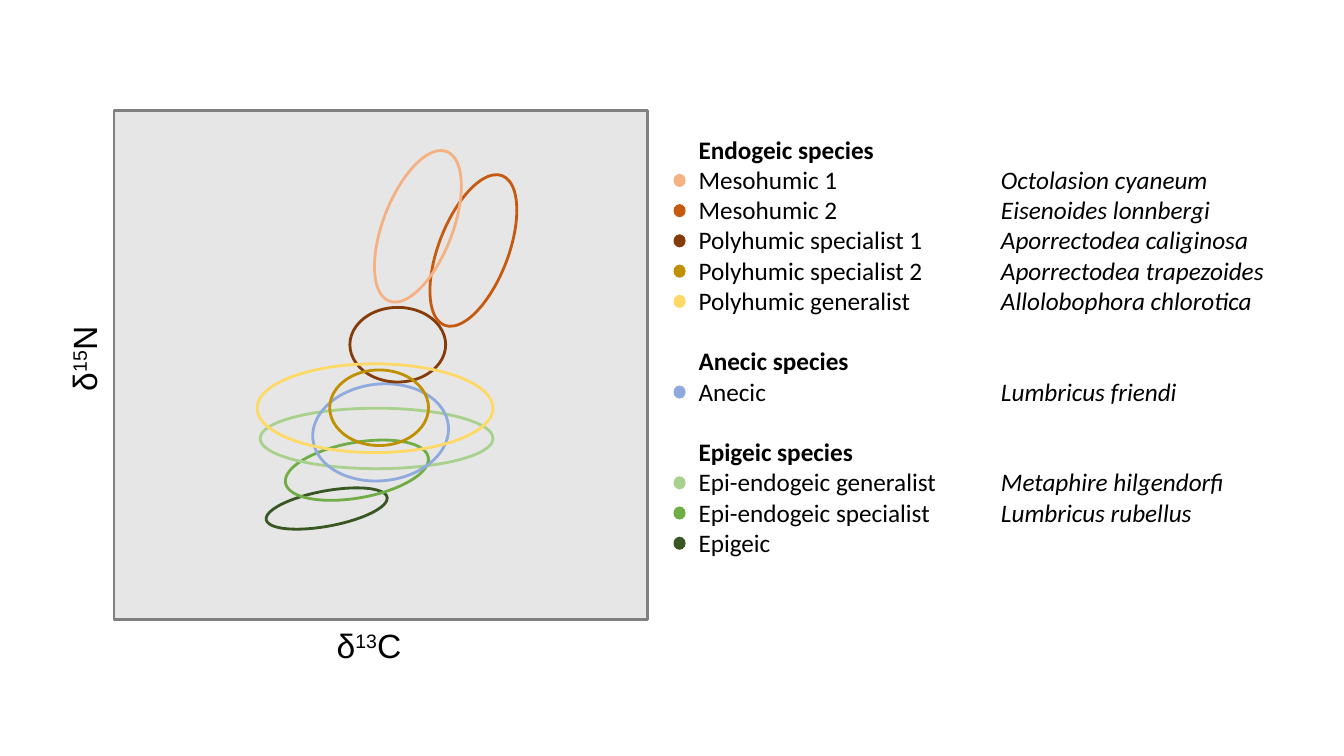
from dataclasses import dataclass

from lxml.etree import SubElement
from pptx import Presentation
from pptx.dml.color import RGBColor
from pptx.enum.shapes import MSO_SHAPE
from pptx.enum.text import MSO_AUTO_SIZE, PP_ALIGN
from pptx.oxml.ns import qn
from pptx.util import Inches, Pt


@dataclass(frozen=True)
class Theme:
    text: str = "000000"
    plot_fill: str = "E7E6E6"
    plot_line: str = "808080"
    line_width: float = 2
    legend_font: str = "Calibri"
    legend_size: float = 18
    axis_font: str = "Arial"
    axis_size: float = 24


THEME = Theme()

NICHES = {
    "Epigeic": ("385723", (2.63, 4.87, 1.22, 0.35), 349.5),
    "Epi-endogeic specialist": ("70AD47", (2.82, 4.39, 1.44, 0.55), 349.8),
    "Epi-endogeic generalist": ("A9D18E", (2.58, 4.05, 2.31, 0.6), 0),
    "Anecic": ("8FAADC", (3.1, 3.81, 1.35, 0.96), 354.1),
    "Polyhumic specialist 1": ("843C0B", (3.47, 3.05, 0.95, 0.74), 0),
    "Polyhumic specialist 2": ("BF9000", (3.27, 3.67, 0.98, 0.75), 0),
    "Mesohumic 2": ("C55A11", (3.9, 2.14, 1.59, 0.69), 291.1),
    "Mesohumic 1": ("F4B183", (3.35, 1.9, 1.59, 0.69), 291.1),
    "Polyhumic generalist": ("FFD966", (2.55, 3.61, 2.34, 0.88), 0),
}

LEGEND = {
    "Endogeic species": [
        ("Mesohumic 1", "Octolasion cyaneum"),
        ("Mesohumic 2", "Eisenoides lonnbergi"),
        ("Polyhumic specialist 1", "Aporrectodea caliginosa"),
        ("Polyhumic specialist 2", "Aporrectodea trapezoides"),
        ("Polyhumic generalist", "Allolobophora chlorotica"),
    ],
    "Anecic species": [("Anecic", "Lumbricus friendi")],
    "Epigeic species": [
        ("Epi-endogeic generalist", "Metaphire hilgendorfi"),
        ("Epi-endogeic specialist", "Lumbricus rubellus"),
        ("Epigeic", ""),
    ],
}

AXES = [
    ("13", "C", (3.01, 6.15, 1.3, 0.5), 0),
    ("15", "N", (0.18, 3.31, 1.3, 0.5), 270),
]

PLOT_BOX = (1.13, 1.1, 5.29, 5.05)
LEGEND_BOX = (6.83, 1.28, 6.14, 4.95)
SPECIES_TAB = 3
ROW_PITCH = 0.3
FIRST_ROW_CENTRE = 1.49
DOT_LEFT, DOT_WIDTH, DOT_HEIGHT = 6.68, 0.12, 0.13


def add_outline(slide, kind, box, fill=None, line=None, rotation=0):
    outline = slide.shapes.add_shape(kind, *map(Inches, box))
    outline.shadow.inherit = False
    outline.rotation = rotation
    if fill:
        outline.fill.solid()
        outline.fill.fore_color.rgb = RGBColor.from_string(fill)
    else:
        outline.fill.background()
    if line:
        outline.line.color.rgb = RGBColor.from_string(line)
        outline.line.width = Pt(THEME.line_width)
    else:
        outline.line.fill.background()


def add_frame(slide, box, rotation=0):
    holder = slide.shapes.add_textbox(*map(Inches, box))
    holder.rotation = rotation
    holder.text_frame.word_wrap = True
    holder.text_frame.auto_size = MSO_AUTO_SIZE.SHAPE_TO_FIT_TEXT
    return holder.text_frame


def add_text(paragraph, text, *, font, size, bold=False, italic=False, raised=False):
    run = paragraph.add_run()
    run.text = text
    run.font.name = font
    run.font.size = Pt(size)
    run.font.bold = bold
    run.font.italic = italic
    run.font.color.rgb = RGBColor.from_string(THEME.text)
    if raised:
        run.font._element.set("baseline", "30000")


def add_tab_stop(paragraph, position):
    stops = SubElement(paragraph._p.get_or_add_pPr(), qn("a:tabLst"))
    SubElement(stops, qn("a:tab"), pos=str(Inches(position)), algn="l")


def add_legend(slide):
    style = {"font": THEME.legend_font, "size": THEME.legend_size}
    frame = add_frame(slide, LEGEND_BOX)
    row = 0
    for group, members in LEGEND.items():
        heading = frame.add_paragraph() if row else frame.paragraphs[0]
        if row:
            heading.space_before = Inches(ROW_PITCH)
            row += 1
        add_text(heading, group, bold=True, **style)
        row += 1
        for niche, species in members:
            entry = frame.add_paragraph()
            add_text(entry, niche, **style)
            if species:
                add_tab_stop(entry, SPECIES_TAB)
                add_text(entry, "\t" + species, italic=True, **style)
            dot_top = FIRST_ROW_CENTRE + row * ROW_PITCH - DOT_HEIGHT / 2
            dot_box = (DOT_LEFT, dot_top, DOT_WIDTH, DOT_HEIGHT)
            add_outline(slide, MSO_SHAPE.OVAL, dot_box, fill=NICHES[niche][0])
            row += 1


def add_axis_title(slide, isotope, element, box, rotation):
    title = add_frame(slide, box, rotation).paragraphs[0]
    title.alignment = PP_ALIGN.CENTER
    for text, raised in (("δ", False), (isotope, True), (element, False)):
        add_text(title, text, font=THEME.axis_font, size=THEME.axis_size, raised=raised)


def main():
    deck = Presentation()
    deck.slide_width, deck.slide_height = Inches(13.33), Inches(7.5)
    slide = deck.slides.add_slide(deck.slide_layouts.get_by_name("Blank"))
    add_outline(slide, MSO_SHAPE.RECTANGLE, PLOT_BOX, THEME.plot_fill, THEME.plot_line)
    for color, box, rotation in NICHES.values():
        add_outline(slide, MSO_SHAPE.OVAL, box, line=color, rotation=rotation)
    add_legend(slide)
    for axis in AXES:
        add_axis_title(slide, *axis)
    deck.save("out.pptx")


if __name__ == "__main__":
    main()
